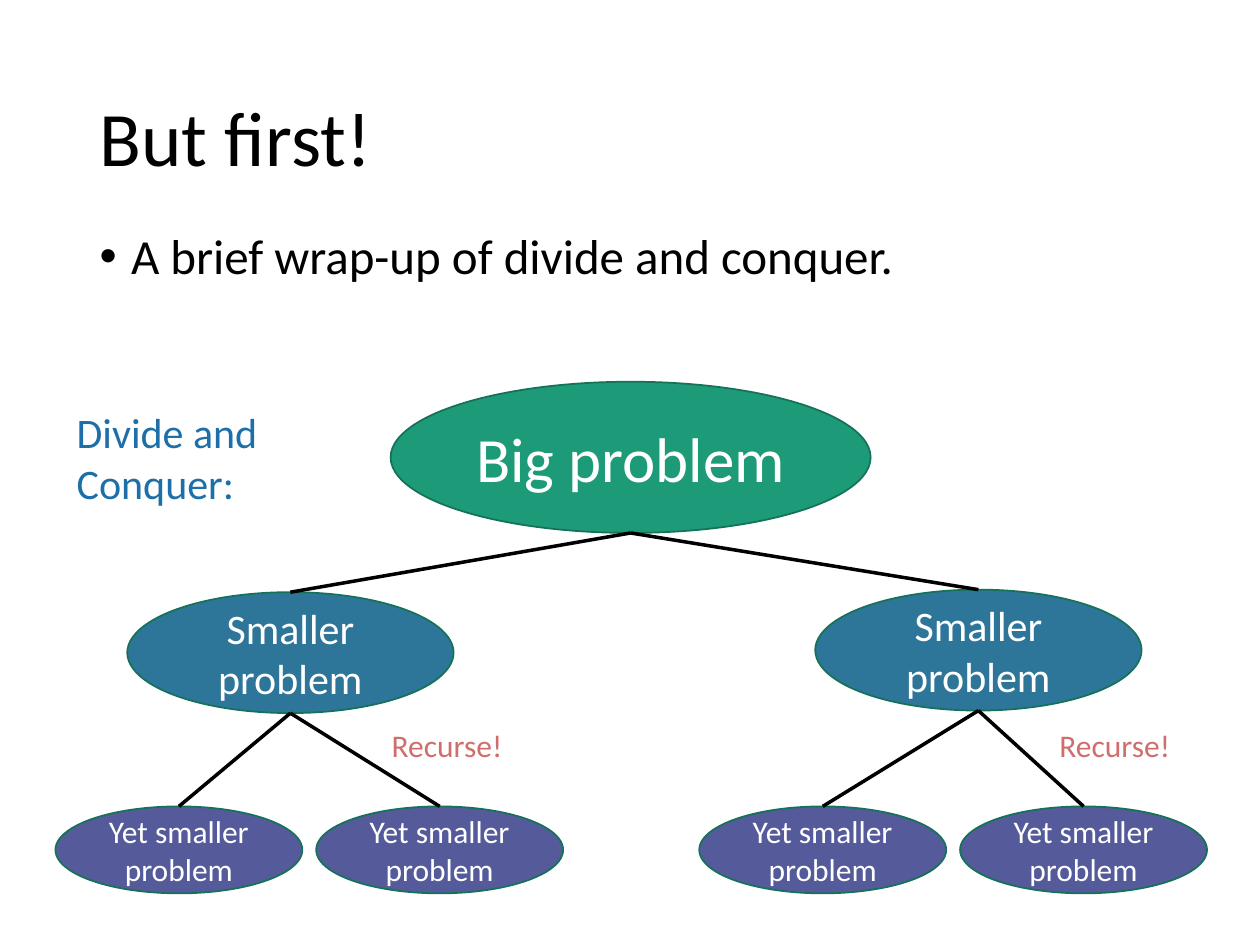
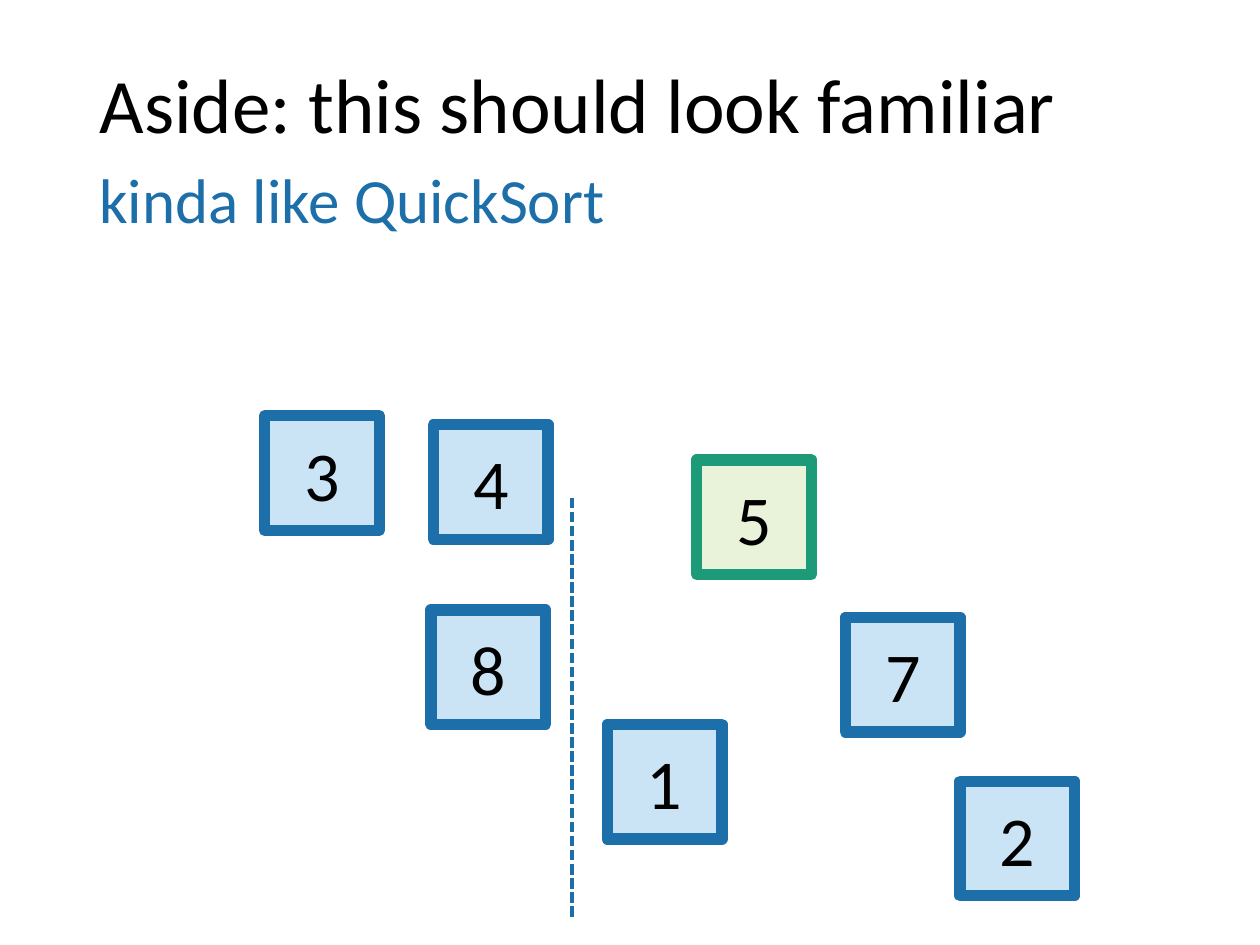
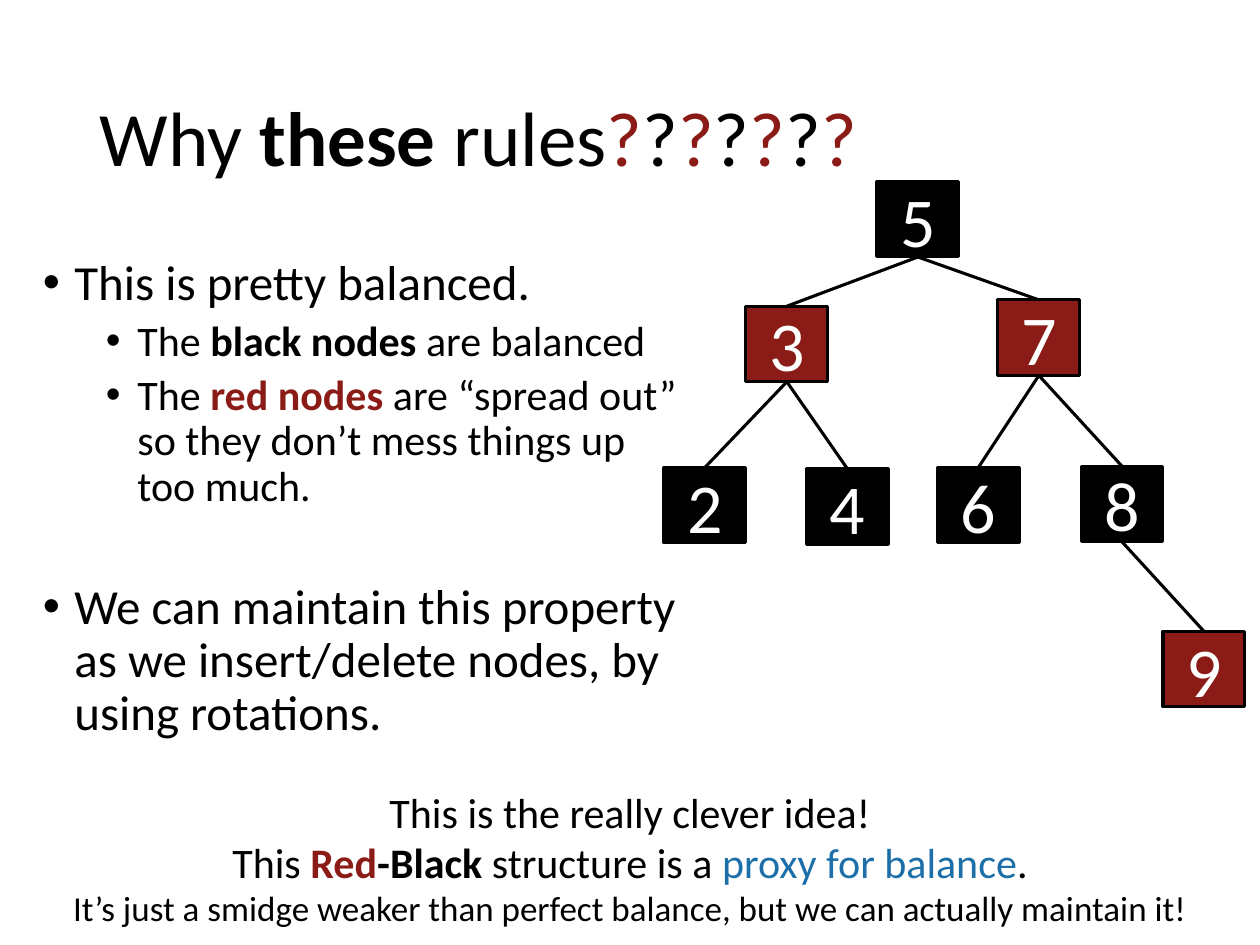
from lxml import etree
from pptx import Presentation
from pptx.dml.color import RGBColor
from pptx.enum.dml import MSO_LINE
from pptx.enum.shapes import MSO_CONNECTOR, MSO_SHAPE
from pptx.enum.text import MSO_ANCHOR, MSO_AUTO_SIZE, PP_ALIGN
from pptx.oxml.ns import qn
from pptx.util import Inches, Pt

LEFT, CENTER = PP_ALIGN.LEFT, PP_ALIGN.CENTER
TOP, MIDDLE = MSO_ANCHOR.TOP, MSO_ANCHOR.MIDDLE
OVAL, RECTANGLE = MSO_SHAPE.OVAL, MSO_SHAPE.RECTANGLE
DASH = MSO_LINE.SQUARE_DOT
TITLE_AND_CONTENT, TITLE_ONLY = 1, 5

FONT = "Calibri"
BLACK, WHITE = "000000", "FFFFFF"
BLUE, GREEN, RED, PINK = "1D6FA9", "1D9A78", "8B1B17", "CF6E6C"
PALE_BLUE, PALE_GREEN = "CAE4F6", "E8F3DA"

TITLE_BOX = (0.69, 0.4, 8.62, 1.45)
# Per list level: text size, left margin in inches, space before in points
LIST_LEVELS = [(28, 0.25, 10), (24, 0.75, 5)]
HANGING = 0.25

# A text is a string or a list of (words, run format) pairs.
# Slide 1
WRAP_UP_TITLE = "But first!"
WRAP_UP_LIST = [(0, "A brief wrap-up of divide and conquer.", None)]
PROBLEM_LEVELS = [
    dict(label="Big problem", size=36, fill=GREEN, extent=(3.81, 1.2)),
    dict(label="Smaller problem", size=24, fill="2E759A", extent=(2.59, 0.96)),
    dict(label="Yet smaller problem", size=18, fill="555B9A", extent=(1.96, 0.69)),
]
# Level, left, top, index of the parent
PROBLEMS = [
    (0, 3.1, 3.03, None),
    (1, 1.01, 4.7, 0),
    (1, 6.47, 4.68, 0),
    (2, 0.44, 6.4, 1),
    (2, 2.51, 6.4, 1),
    (2, 5.55, 6.4, 2),
    (2, 7.62, 6.4, 2),
]
RECURSE_LEFTS = [3.01, 8.31]

# Slide 2
ASIDE_TITLE = "Aside: this should look familiar"
ASIDE_SUBTITLE = "kinda like QuickSort"
CARD_SIDE = 0.91
PIVOT = "5"
CARDS = {
    "3": (2.1, 3.3), "4": (3.44, 3.37), "8": (3.42, 4.84), "1": (4.82, 5.75),
    "7": (6.71, 4.9), "2": (7.62, 6.2), PIVOT: (5.53, 3.65),
}
DIVIDER = ((4.54, 3.95), (4.54, 7.28))

# Slide 3
BOLD = dict(bold=True)
BOLD_RED = dict(bold=True, color=RED)
RULES_TITLE = [("Why ", {}), ("these", BOLD), (" rules", {})] + [
    ("?", dict(color=BLACK if i % 2 else RED)) for i in range(7)
]
# Level, text, space before if it differs from the level's own
RULES_LIST = [
    (0, "This is pretty balanced.", None),
    (1, [("The ", {}), ("black nodes", BOLD), (" are balanced", {})], None),
    (1, [("The ", {}), ("red nodes ", BOLD_RED),
         ("are “spread out” so they don’t mess things up too much.", {})], None),
    (0, "We can maintain this property as we insert/delete nodes, by using rotations.", 41),
]
KEY_EXTENT = (0.65, 0.6)
# Key: left, top, fill, parent key
KEYS = {
    "5": (6.96, 1.44, BLACK, None),
    "3": (5.92, 2.43, RED, "5"),
    "7": (7.92, 2.38, RED, "5"),
    "2": (5.27, 3.71, BLACK, "3"),
    "4": (6.4, 3.72, BLACK, "3"),
    "6": (7.44, 3.71, BLACK, "7"),
    "8": (8.58, 3.7, BLACK, "7"),
    "9": (9.23, 5.01, RED, "8"),
}
CLEVER_IDEA = [
    ("This is the really clever idea!", 24),
    ([("This ", {}), ("Red", BOLD_RED), ("-Black ", BOLD), ("structure is a ", {}),
      ("proxy for balance", dict(color=BLUE)), (".", {})], 24),
    ("It’s just a smidge weaker than perfect balance, but we can actually maintain it!", 20),
]


def rgb(hex_color):
    return RGBColor.from_string(hex_color)


def inches(values):
    return [Inches(value) for value in values]


def set_all(target, **values):
    for name, value in values.items():
        setattr(target, name, value)


def write(paragraph, text, size, color=BLACK, **layout):
    set_all(paragraph, **layout)
    for words, style in [(text, {})] if isinstance(text, str) else text:
        run = paragraph.add_run()
        run.text = words
        set_all(run.font, name=FONT, size=Pt(size), bold=style.get("bold", False))
        run.font.color.rgb = rgb(style.get("color", color))


def place(shape, box):
    left, top, width, height = inches(box)
    set_all(shape, left=left, top=top, width=width, height=height)


def add_titled_slide(prs, layout, title, box=TITLE_BOX):
    slide = prs.slides.add_slide(prs.slide_layouts[layout])
    place(slide.shapes.title, box)
    frame = slide.shapes.title.text_frame
    set_all(frame, auto_size=MSO_AUTO_SIZE.NONE, vertical_anchor=MIDDLE)
    write(frame.paragraphs[0], title, 44, alignment=LEFT, line_spacing=0.9)
    return slide


def add_bullet(paragraph, margin):
    properties = paragraph._p.get_or_add_pPr()
    properties.set("marL", str(Inches(margin)))
    properties.set("indent", str(-Inches(HANGING)))
    etree.SubElement(properties, qn("a:buFont")).set("typeface", "Arial")
    etree.SubElement(properties, qn("a:buChar")).set("char", "•")


def fill_list(slide, items, box):
    body = slide.placeholders[1]
    place(body, box)
    frame = body.text_frame
    set_all(frame, auto_size=MSO_AUTO_SIZE.NONE, vertical_anchor=TOP)
    for i, (level, text, gap) in enumerate(items):
        paragraph = frame.add_paragraph() if i else frame.paragraphs[0]
        size, margin, level_gap = LIST_LEVELS[level]
        add_bullet(paragraph, margin)
        write(paragraph, text, size, level=level, line_spacing=0.9,
              space_before=Pt((gap or level_gap) if i else 0))


def add_text(slide, box, lines, color=BLACK, wrap=True, anchor=TOP, **layout):
    """Add a text box; lines are (text, size) pairs."""
    frame = slide.shapes.add_textbox(*inches(box)).text_frame
    set_all(frame, word_wrap=wrap, vertical_anchor=anchor)
    for i, (text, size) in enumerate(lines):
        paragraph = frame.add_paragraph() if i else frame.paragraphs[0]
        write(paragraph, text, size, color, **layout)


def add_node(slide, kind, box, label, size, fill, outline, weight, color):
    node = slide.shapes.add_shape(kind, *inches(box))
    node.shadow.inherit = False
    node.fill.solid()
    node.fill.fore_color.rgb = rgb(fill)
    node.line.color.rgb = rgb(outline)
    node.line.width = Pt(weight)
    node.text_frame.vertical_anchor = MIDDLE
    write(node.text_frame.paragraphs[0], label, size, color, alignment=CENTER)


def add_line(slide, start, end, color, weight, dash=None):
    line = slide.shapes.add_connector(MSO_CONNECTOR.STRAIGHT, *inches(start + end))
    etree.SubElement(line._element.spPr, qn("a:effectLst"))
    line.line.color.rgb = rgb(color)
    line.line.width = Pt(weight)
    if dash:
        line.line.dash_style = dash


def add_edge(slide, parent_box, child_box, weight):
    """Join the bottom of the parent to the top of the child."""
    left, top, width, height = parent_box
    child_left, child_top, child_width, _ = child_box
    add_line(slide, (left + width / 2, top + height),
             (child_left + child_width / 2, child_top), BLACK, weight)


def build_wrap_up(prs):
    slide = add_titled_slide(prs, TITLE_AND_CONTENT, WRAP_UP_TITLE)
    fill_list(slide, WRAP_UP_LIST, (0.69, 1.79, 8.62, 4.76))
    boxes = [(left, top, *PROBLEM_LEVELS[level]["extent"])
             for level, left, top, _ in PROBLEMS]
    for (level, *_), box in zip(PROBLEMS, boxes):
        look = PROBLEM_LEVELS[level]
        add_node(slide, OVAL, box, look["label"], look["size"], look["fill"],
                 "157259", 1, WHITE)
    for (*_, parent), box in zip(PROBLEMS, boxes):
        if parent is not None:
            add_edge(slide, boxes[parent], box, 2)
    for left in RECURSE_LEFTS:
        add_text(slide, (left, 5.71, 1.09, 0.4), [("Recurse!", 18)], PINK, wrap=False)
    add_text(slide, (0.51, 3.18, 1.82, 0.91), [("Divide and Conquer:", 24)], BLUE)


def build_aside(prs):
    slide = add_titled_slide(prs, TITLE_ONLY, ASIDE_TITLE, (0.69, 0.4, 8.62, 0.92))
    for number, corner in CARDS.items():
        fill, outline = (PALE_GREEN, GREEN) if number == PIVOT else (PALE_BLUE, BLUE)
        add_node(slide, RECTANGLE, (*corner, CARD_SIDE, CARD_SIDE), number, 40,
                 fill, outline, 6.5, BLACK)
    add_line(slide, *DIVIDER, BLUE, 2, DASH)
    add_text(slide, (0.69, 1.15, 4.58, 0.92), [(ASIDE_SUBTITLE, 36)], BLUE,
             anchor=MIDDLE, line_spacing=0.9)


def build_rules(prs):
    slide = add_titled_slide(prs, TITLE_AND_CONTENT, RULES_TITLE)
    fill_list(slide, RULES_LIST, (0.24, 2, 5.24, 4.76))
    boxes = {key: (left, top, *KEY_EXTENT) for key, (left, top, *_) in KEYS.items()}
    for key, (_, _, fill, parent) in KEYS.items():
        add_node(slide, RECTANGLE, boxes[key], key, 40, fill, BLACK, 1.75, WHITE)
        if parent:
            add_edge(slide, boxes[parent], boxes[key], 1.75)
    add_text(slide, (0.24, 6.19, 9.52, 1.25), CLEVER_IDEA, alignment=CENTER)


def main():
    prs = Presentation()
    set_all(prs, slide_width=Inches(10), slide_height=Inches(7.5))
    for build in (build_wrap_up, build_aside, build_rules):
        build(prs)
    prs.save("out.pptx")


if __name__ == "__main__":
    main()
